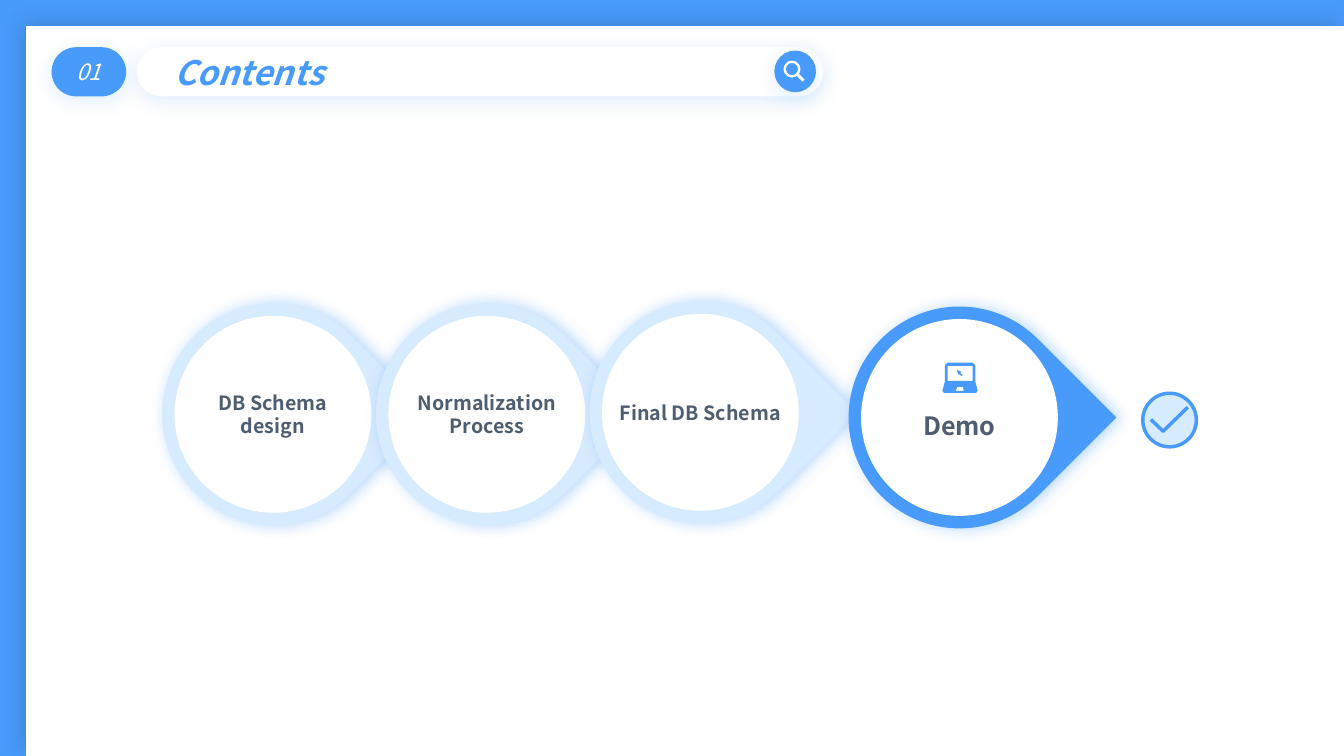
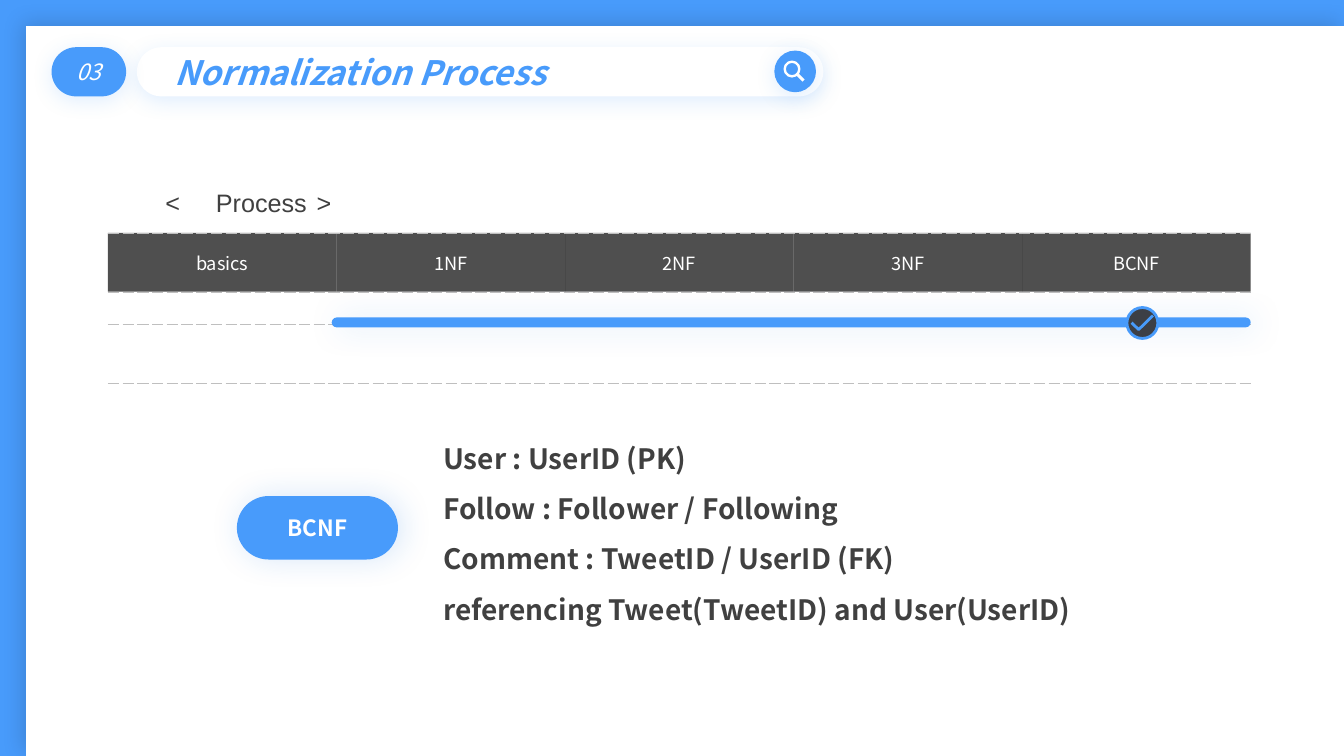
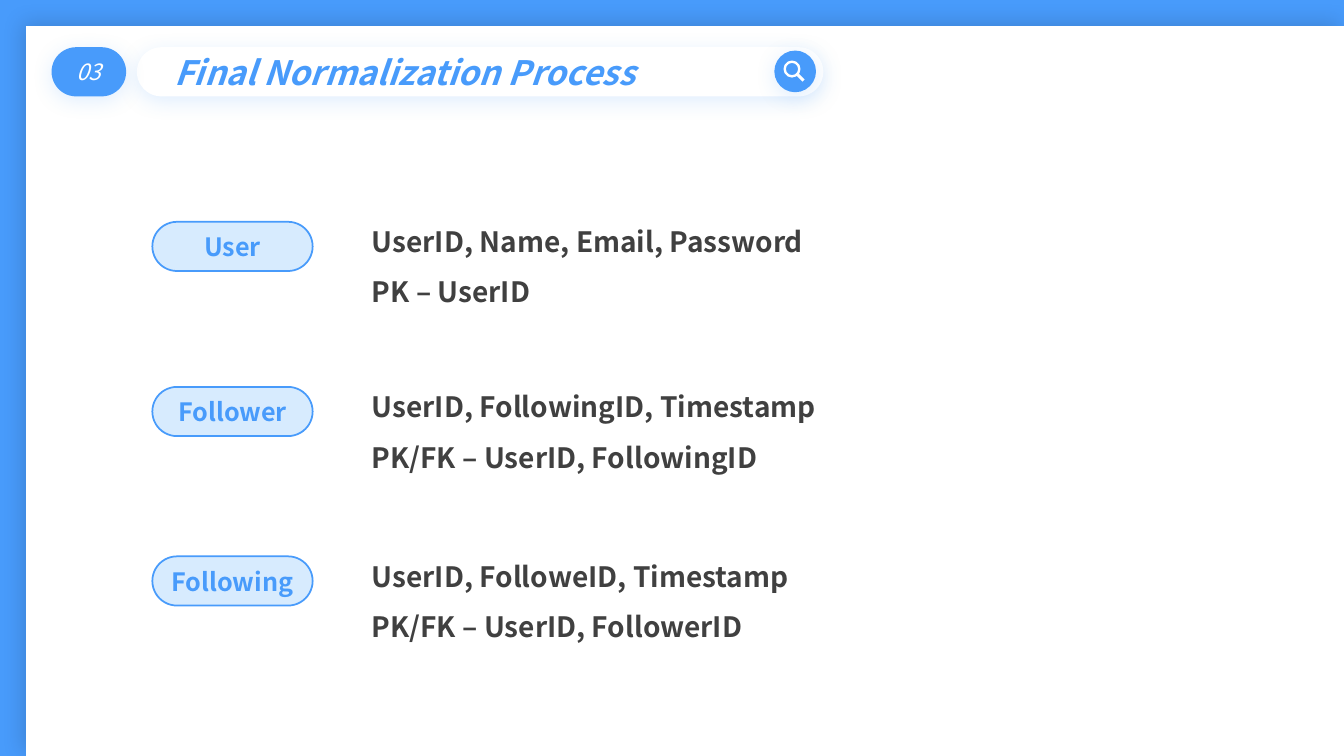
"""Build three slides on database normalization."""
from pptx import Presentation
from pptx.dml.color import RGBColor
from pptx.enum.shapes import MSO_CONNECTOR, MSO_SHAPE
from pptx.enum.text import MSO_ANCHOR, PP_ALIGN
from pptx.oxml import parse_xml
from pptx.oxml.ns import nsdecls, qn
from pptx.util import Cm, Pt

BLUE = RGBColor(0x48, 0x9B, 0xFB)
DEEP_BLUE = RGBColor(0x1A, 0x73, 0xDE)
PALE = RGBColor(0xD7, 0xEB, 0xFE)
WHITE = RGBColor(0xFF, 0xFF, 0xFF)
BLACK = RGBColor(0, 0, 0)
SLATE = RGBColor(0x4E, 0x5D, 0x70)
GREY = RGBColor(0x40, 0x40, 0x40)
CHARCOAL = RGBColor(0x3C, 0x3F, 0x46)
RULE = RGBColor(0xBF, 0xBF, 0xBF)
FONT = "Noto Sans CJK KR"

WIDTH, HEIGHT, MARGIN = 33.87, 19.05, 0.66
PANEL_SHADOW = (BLACK, 15, 15, 3, 225)
HEADER_SHADOW = (BLUE, 17, 15, 3, 90)
DROP_SHADOW = (BLUE, 40, 11, 3, 0)
PILL_SHADOW = (DEEP_BLUE, 17, 23, 3, 0)

STEPS = [
    ("DB Schema\ndesign", 6.88, 10.44, PALE, 14, 1),
    ("Normalization\nProcess", 12.27, 10.44, PALE, 14, 1),
    ("Final DB Schema", 17.65, 10.39, PALE, 14, 1),
    ("Demo", 24.18, 10.52, BLUE, 18, 1.5),
]
DROP_SIZE, DISC_SIZE, RING_SIZE = 5.59, 4.27, 4.52

LAPTOP_AT = (23.75, 9.14)
LAPTOP = [
    [(0.13, 0), (0.76, 0), (0.83, 0.07), (0.83, 0.48), (0.89, 0.71),
     (0.85, 0.76), (0.04, 0.76), (0, 0.71), (0.06, 0.48), (0.06, 0.07)],
    [(0.13, 0.08), (0.13, 0.46), (0.76, 0.46), (0.76, 0.08)],
    [(0.37, 0.61), (0.34, 0.71), (0.54, 0.71), (0.52, 0.61)],
    [(0.36, 0.18), (0.48, 0.23), (0.45, 0.26), (0.51, 0.31),
     (0.49, 0.34), (0.43, 0.29), (0.41, 0.31)],
]
CHECK = [(0.15, 0.49), (0.38, 0.71), (0.84, 0.26)]

FORMS = ["basics", "1NF", "2NF", "3NF", "BCNF"]
FORM_WIDTH = 5.76
FORM_ROWS = [1.48, 1.48, 0.83, 1.48]
FORM_TITLE = "\t<\tProcess\t>"
FORM_TABS = [11.22, 14.3, 17.21]
BCNF_LINES = [
    "User : UserID (PK)",
    "Follow : Follower / Following",
    "Comment : TweetID / UserID (FK)\vreferencing Tweet(TweetID) and User(UserID)",
]

TABLES = [
    ("User", 5.59, ["UserID, Name, Email, Password", "PK – UserID"]),
    ("Follower", 9.75, ["UserID, FollowingID, Timestamp", "PK/FK – UserID, FollowingID"]),
    ("Following", 14.02, ["UserID, FolloweID, Timestamp", "PK/FK – UserID, FollowerID"]),
]


def style_text(frame, text, size, color, bold=False, italic=False,
               align=PP_ALIGN.CENTER, spacing=1, font=FONT):
    frame.text = text
    for para in frame.paragraphs:
        para.alignment = align
        para.line_spacing = spacing
        for span in para.runs:
            span.font.name = font
            span.font.size = Pt(size)
            span.font.color.rgb = color
            span.font.bold = bold
            span.font.italic = italic


def paint(shape, fill=None, line=None, weight=1, shadow=None):
    shape.shadow.inherit = False
    if fill is None:
        shape.fill.background()
    else:
        shape.fill.solid()
        shape.fill.fore_color.rgb = fill
    if line is None:
        shape.line.fill.background()
    else:
        shape.line.color.rgb = line
        shape.line.width = Pt(weight)
    if shadow:
        color, alpha, blur, distance, angle = shadow
        shape._element.spPr.find(qn("a:effectLst")).append(parse_xml(
            f'<a:outerShdw {nsdecls("a")} blurRad="{Pt(blur)}" dist="{Pt(distance)}" '
            f'dir="{angle * 60000}" algn="ctr" rotWithShape="0"><a:srgbClr val="{color}">'
            f'<a:alpha val="{alpha * 1000}"/></a:srgbClr></a:outerShdw>'))


def add_box(page, kind, left, top, width, height, **look):
    shape = page.shapes.add_shape(kind, Cm(left), Cm(top), Cm(width), Cm(height))
    paint(shape, **look)
    return shape


def add_disc(page, x, y, size, kind=MSO_SHAPE.OVAL, **look):
    return add_box(page, kind, x - size / 2, y - size / 2, size, size, **look)


def add_pill(page, left, top, width, height, **look):
    pill = add_box(page, MSO_SHAPE.ROUNDED_RECTANGLE, left, top, width, height, **look)
    pill.adjustments[0] = 0.5
    pill.text_frame.vertical_anchor = MSO_ANCHOR.MIDDLE
    return pill


def add_outline(page, left, top, contours, close=True, **look):
    placed = [[(Cm(left + x), Cm(top + y)) for x, y in points] for points in contours]
    builder = page.shapes.build_freeform(*placed[0][0], scale=1.0)
    for index, points in enumerate(placed):
        if index:
            builder.move_to(*points[0])
        builder.add_line_segments(points[1:], close=close)
    paint(builder.convert_to_shape(), **look)


def add_check(page, left, top, size, fill, weight):
    add_box(page, MSO_SHAPE.OVAL, left, top, size, size, fill=fill, line=BLUE, weight=weight)
    tick = [(x * size, y * size) for x, y in CHECK]
    add_outline(page, left, top, [tick], close=False, line=BLUE, weight=weight)


def add_lines(page, left, top, width, height, lines):
    box = page.shapes.add_textbox(Cm(left), Cm(top), Cm(width), Cm(height))
    box.text_frame.word_wrap = True
    style_text(box.text_frame, "\n".join(lines), 20, GREY, bold=True,
               align=PP_ALIGN.LEFT, spacing=1.5)


def add_page(deck, number, title):
    page = deck.slides.add_slide(deck.slide_layouts[6])
    add_box(page, MSO_SHAPE.RECTANGLE, MARGIN, MARGIN, WIDTH - MARGIN, HEIGHT - MARGIN,
            fill=WHITE, shadow=PANEL_SHADOW)
    bar = add_pill(page, 3.45, 1.19, 17.3, 1.24, fill=WHITE, shadow=HEADER_SHADOW)
    bar.text_frame.margin_left = Cm(0.76)
    style_text(bar.text_frame, title, 24, BLUE, bold=True, italic=True, align=PP_ALIGN.LEFT)
    add_disc(page, 20.04, 1.8, 0.97, fill=BLUE, line=BLUE, weight=2.25, shadow=HEADER_SHADOW)
    add_disc(page, 19.96, 1.74, 0.37, line=WHITE, weight=1.7)
    handle = page.shapes.add_connector(
        MSO_CONNECTOR.STRAIGHT, Cm(20.1), Cm(1.88), Cm(20.25), Cm(2.03))
    handle.line.color.rgb = WHITE
    handle.line.width = Pt(2.25)
    handle._element.spPr.append(parse_xml(f'<a:effectLst {nsdecls("a")}/>'))
    badge = add_pill(page, 1.3, 1.19, 1.88, 1.24, fill=BLUE, shadow=HEADER_SHADOW)
    badge.text_frame.word_wrap = False
    style_text(badge.text_frame, number, 16, WHITE, italic=True)
    return page


def add_step(page, label, x, y, color, size, spacing):
    drop = add_disc(page, x, y, DROP_SIZE, MSO_SHAPE.TEAR, fill=color, shadow=DROP_SHADOW)
    drop.rotation = 45
    disc = add_disc(page, x, y, DISC_SIZE, fill=WHITE)
    disc.text_frame.word_wrap = False
    disc.text_frame.vertical_anchor = MSO_ANCHOR.MIDDLE
    style_text(disc.text_frame, label, size, SLATE, bold=True, spacing=spacing)
    add_disc(page, x, y, RING_SIZE, line=WHITE, weight=12.5)


def set_borders(cell, top):
    dashed = (f'<a:solidFill><a:srgbClr val="{RULE}"/></a:solidFill>'
              '<a:prstDash val="sysDash"/>')
    for side, shown in (("L", False), ("R", False), ("T", top), ("B", True)):
        cell._tc.get_or_add_tcPr().append(parse_xml(
            f'<a:ln{side} {nsdecls("a")} w="{Pt(0.25)}">'
            f'{dashed if shown else "<a:noFill/>"}</a:ln{side}>'))


def add_form_table(page):
    table = page.shapes.add_table(
        len(FORM_ROWS), len(FORMS), Cm(2.72), Cm(4.39),
        Cm(FORM_WIDTH * len(FORMS)), Cm(sum(FORM_ROWS))).table
    table.first_row = table.horz_banding = False
    for column in table.columns:
        column.width = Cm(FORM_WIDTH)
    for index, height in enumerate(FORM_ROWS):
        table.rows[index].height = Cm(height)
        for cell in table.rows[index].cells:
            set_borders(cell, top=index > 0)
            cell.fill.background()
            cell.vertical_anchor = MSO_ANCHOR.MIDDLE
            cell.margin_left = cell.margin_right = Cm(0.18)
            cell.margin_top = cell.margin_bottom = Cm(0)
    title = table.cell(0, 0)
    title.merge(table.cell(0, len(FORMS) - 1))
    stops = "".join(f'<a:tab pos="{Cm(stop)}" algn="ctr"/>' for stop in FORM_TABS)
    title.text_frame.paragraphs[0]._p.get_or_add_pPr().append(
        parse_xml(f'<a:tabLst {nsdecls("a")}>{stops}</a:tabLst>'))
    style_text(title.text_frame, FORM_TITLE, 18, GREY, align=PP_ALIGN.LEFT, font="Arial")
    for cell, form in zip(table.rows[1].cells, FORMS):
        cell.fill.solid()
        cell.fill.fore_color.rgb = BLACK
        color = cell._tc.tcPr.find(qn("a:solidFill")).find(qn("a:srgbClr"))
        color.append(parse_xml(f'<a:alpha {nsdecls("a")} val="69000"/>'))
        style_text(cell.text_frame, form, 13, WHITE)


def build_contents(deck):
    page = add_page(deck, "01", "Contents")
    for step in STEPS:
        add_step(page, *step)
    add_outline(page, *LAPTOP_AT, LAPTOP, fill=BLUE)
    add_check(page, 28.8, 9.91, 1.35, PALE, 2.5)


def build_process(deck):
    page = add_page(deck, "03", "Normalization Process")
    add_form_table(page)
    pill = add_pill(page, 5.97, 12.5, 4.06, 1.6, fill=BLUE, shadow=PILL_SHADOW)
    style_text(pill.text_frame, "BCNF", 16, WHITE, bold=True)
    add_lines(page, 10.92, 10.57, 17.3, 6.96, BCNF_LINES)
    add_pill(page, 8.36, 8, 23.16, 0.25, fill=BLUE, shadow=PILL_SHADOW)
    add_check(page, 28.4, 7.75, 0.78, CHARCOAL, 2)


def build_result(deck):
    page = add_page(deck, "03", "Final Normalization Process")
    for name, top, lines in TABLES:
        add_lines(page, 9.12, top - 0.48, 15.65, 2.95, lines)
        pill = add_pill(page, 3.84, top, 4.04, 1.24, fill=PALE, line=BLUE, weight=1.25)
        style_text(pill.text_frame, name, 18, BLUE, bold=True)


def main():
    deck = Presentation()
    deck.slide_width, deck.slide_height = Cm(WIDTH), Cm(HEIGHT)
    backdrop = deck.slide_master.background.fill
    backdrop.solid()
    backdrop.fore_color.rgb = BLUE
    build_contents(deck)
    build_process(deck)
    build_result(deck)
    deck.save("out.pptx")


if __name__ == "__main__":
    main()
